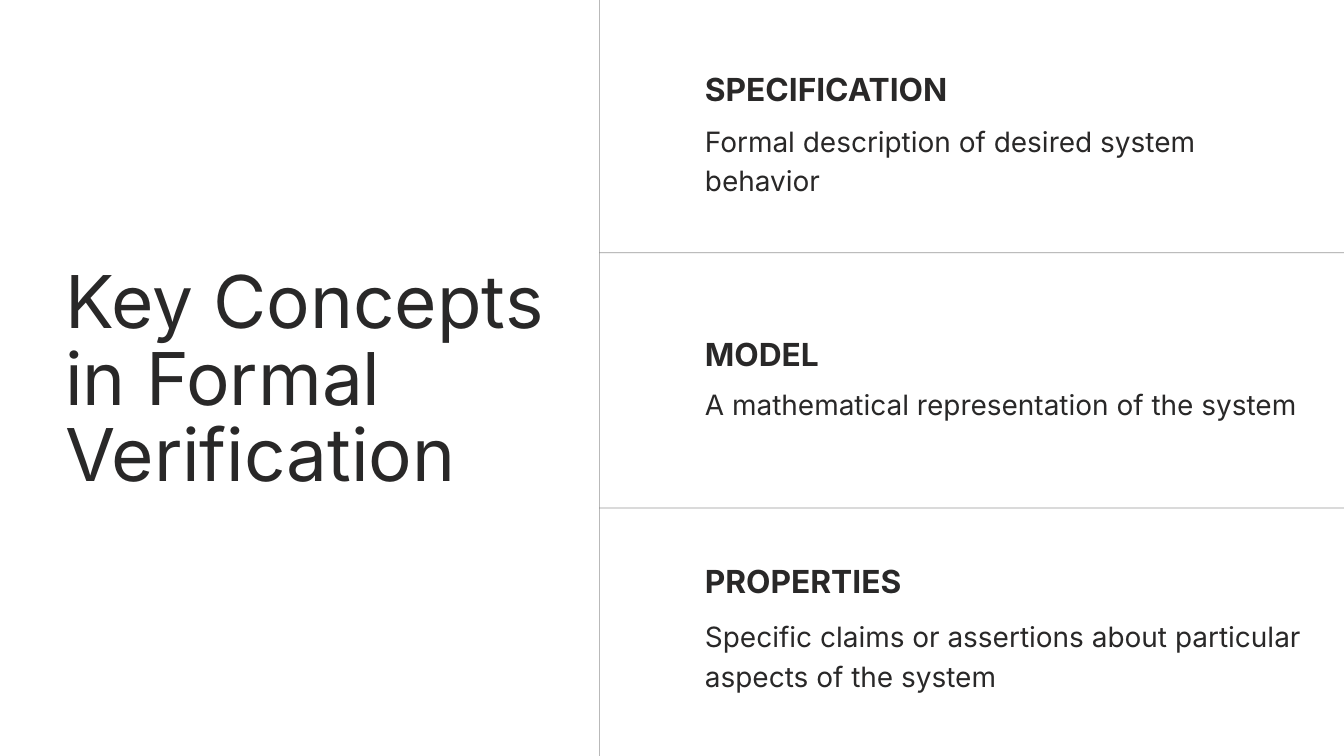
from dataclasses import dataclass

from lxml import etree
from pptx import Presentation
from pptx import util as u
from pptx.dml.color import RGBColor
from pptx.enum import shapes, text
from pptx.oxml.ns import qn

COLUMNS, ROWS = 20, 11.25
DIVIDER = 8.92
CONCEPT_LEFT, CONCEPT_WIDTH = 10.49, 9.03

CONCEPTS = [
    ("SPECIFICATION", 0.94,
     "Formal description of desired system behavior", 1.77, 1.11),
    ("MODEL", 4.89,
     "A mathematical representation of the system", 5.68, 0.54),
    ("PROPERTIES", 8.26,
     "Specific claims or assertions about particular aspects of the system",
     9.14, 1.11),
]


@dataclass(frozen=True)
class TextStyle:
    size: float
    leading: float
    bold: bool = False


@dataclass(frozen=True)
class Theme:
    font: str = "Inter"
    ink: RGBColor = RGBColor(0x29, 0x28, 0x28)
    rule_width: float = 0.75
    title: TextStyle = TextStyle(78, 81.9)
    heading: TextStyle = TextStyle(34, 47.6, True)
    body: TextStyle = TextStyle(30, 42)


class SlideBuilder:
    def __init__(self, deck, theme):
        self.theme = theme
        self.cell_width = deck.slide_width / COLUMNS
        self.cell_height = deck.slide_height / ROWS
        self.slide = deck.slides.add_slide(deck.slide_layouts[5])

    def place(self, column, row, columns, rows):
        return (round(column * self.cell_width), round(row * self.cell_height),
                round(columns * self.cell_width), round(rows * self.cell_height))

    def typeset(self, frame, wording, style):
        frame.margin_left = frame.margin_right = 0
        frame.margin_top = frame.margin_bottom = 0
        frame.word_wrap = True
        frame.auto_size = text.MSO_AUTO_SIZE.SHAPE_TO_FIT_TEXT
        frame.vertical_anchor = text.MSO_ANCHOR.TOP
        frame.text = wording
        paragraph = frame.paragraphs[0]
        paragraph.alignment = text.PP_ALIGN.LEFT
        paragraph.space_before = u.Pt(0)
        paragraph.line_spacing = u.Pt(style.leading)
        paragraph.font.name = self.theme.font
        paragraph.font.size = u.Pt(style.size)
        paragraph.font.bold = style.bold
        paragraph.font.color.rgb = self.theme.ink

    def title(self, wording, *area):
        heading = self.slide.shapes.title
        heading.left, heading.top, heading.width, heading.height = self.place(*area)
        self.typeset(heading.text_frame, wording, self.theme.title)

    def label(self, wording, style, *area):
        box = self.slide.shapes.add_textbox(*self.place(*area))
        self.typeset(box.text_frame, wording, style)

    def rule(self, start, end, opacity):
        rule = self.slide.shapes.add_connector(
            shapes.MSO_CONNECTOR.STRAIGHT, *self.place(*start, *end))
        rule.line.width = u.Pt(self.theme.rule_width)
        rule.line.color.rgb = self.theme.ink
        properties = rule._element.spPr
        color = properties.find(".//" + qn("a:srgbClr"))
        etree.SubElement(color, qn("a:alpha"), val=str(opacity * 1000))
        etree.SubElement(properties, qn("a:effectLst"))


def main():
    deck = Presentation()
    deck.slide_width, deck.slide_height = u.Inches(20), u.Inches(11.25)
    theme = Theme()
    builder = SlideBuilder(deck, theme)

    builder.rule((DIVIDER, 0), (DIVIDER, ROWS), 50)
    for row in (3.76, 7.56):
        builder.rule((DIVIDER, row), (COLUMNS, row), 48)

    builder.title("Key Concepts in Formal Verification", 0.97, 3.97, 7.45, 3.44)
    for name, name_row, meaning, meaning_row, meaning_rows in CONCEPTS:
        builder.label(name, theme.heading,
                      CONCEPT_LEFT, name_row, CONCEPT_WIDTH, 0.62)
        builder.label(meaning, theme.body,
                      CONCEPT_LEFT, meaning_row, CONCEPT_WIDTH, meaning_rows)

    deck.save("out.pptx")


if __name__ == "__main__":
    main()
